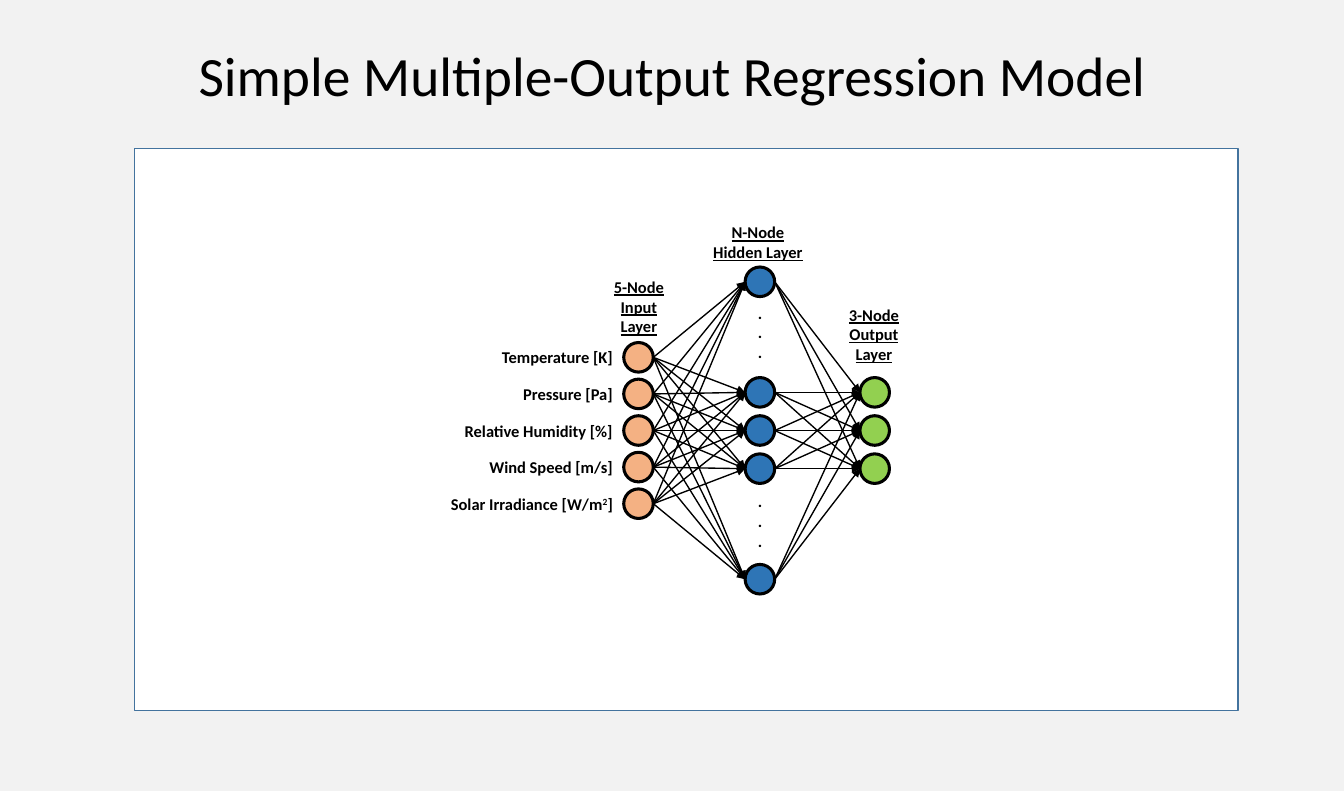
from dataclasses import dataclass
from itertools import product

from lxml.etree import SubElement
from pptx import Presentation
from pptx.dml.color import RGBColor
from pptx.enum.shapes import MSO_CONNECTOR, MSO_SHAPE
from pptx.enum.text import MSO_ANCHOR, PP_ALIGN
from pptx.oxml.ns import qn
from pptx.util import Cm, Pt

HUES = {
    "back": "F2F2F2", "panel": "FFFFFF", "frame": "43739E", "ink": "000000",
    "input": "F4B183", "hidden": "2E75B6", "output": "92D050",
}
SIZE = 0.76  # node diameter
MID = 11.06  # height of the network's axis


@dataclass
class Layer:
    hue: str
    left: float
    rows: list[float]  # node centres
    head: str
    box: tuple[float, float, float, float]


LAYERS = [
    Layer("input", 16.03, [MID + 0.94 * i for i in range(-2, 3)],
          "5-Node Input Layer", (15.19, 6.99, 2.46, 1.8)),
    Layer("hidden", 19.15, [MID + d for d in (-3.82, -0.98, 0, 0.98, 3.82)],
          "N-Node Hidden Layer", (18.03, 5.59, 2.9, 1.27)),
    Layer("output", 22.1, [MID + 0.98 * i for i in range(-1, 2)],
          "3-Node Output Layer", (21.23, 7.7, 2.46, 1.8)),
]
# A part between carets is raised
LABELS = ["Temperature [K]", "Pressure [Pa]", "Relative Humidity [%]",
          "Wind Speed [m/s]", "Solar Irradiance [W/m^2^]"]


def tint(name: str) -> RGBColor:
    return RGBColor.from_string(HUES[name])


def write(slide, text: str, box: tuple, *, size: float = 12, bold: bool = True,
          under: bool = False, align=PP_ALIGN.CENTER, anchor=MSO_ANCHOR.TOP,
          space: float = 1.0) -> None:
    frame = slide.shapes.add_textbox(*map(Cm, box)).text_frame
    frame.word_wrap = True
    frame.vertical_anchor = anchor
    for i, line in enumerate(text.split("\n")):
        para = frame.add_paragraph() if i else frame.paragraphs[0]
        para.alignment = align
        para.line_spacing = space
        for j, part in enumerate(line.split("^")):
            run = para.add_run()
            run.text = part
            font = run.font
            font.name, font.size = "Calibri", Pt(size)
            font.bold, font.underline = bold, under
            font.color.rgb = tint("ink")
            if j % 2:
                font._element.set("baseline", "30000")


def shape(slide, kind, box: tuple, fill: str, line: str, width: float) -> None:
    item = slide.shapes.add_shape(kind, *map(Cm, box))
    item.shadow.inherit = False
    item.fill.solid()
    item.fill.fore_color.rgb = tint(fill)
    item.line.color.rgb = tint(line)
    item.line.width = Pt(width)


def arrow(slide, x1: float, y1: float, x2: float, y2: float) -> None:
    item = slide.shapes.add_connector(
        MSO_CONNECTOR.STRAIGHT, *map(Cm, (x1, y1, x2, y2)))
    item.line.color.rgb = tint("ink")
    item.line.width = Pt(1)
    SubElement(item.line._get_or_add_ln(), qn("a:tailEnd"), type="triangle")
    SubElement(item._element.spPr, qn("a:effectLst"))


def main() -> None:
    deck = Presentation()
    deck.slide_width, deck.slide_height = Cm(34.54), Cm(20.32)
    slide = deck.slides.add_slide(deck.slide_layouts[6])
    slide.background.fill.solid()
    slide.background.fill.fore_color.rgb = tint("back")

    # Title and panel
    write(slide, "Simple Multiple-Output Regression Model",
          (2.39, 1.09, 29.79, 1.88), size=40.4, bold=False,
          anchor=MSO_ANCHOR.MIDDLE, space=0.9)
    shape(slide, MSO_SHAPE.RECTANGLE, (3.45, 3.81, 28.37, 14.45),
          "panel", "frame", 1)

    # Nodes and layer headings
    for layer in LAYERS:
        for y in layer.rows:
            shape(slide, MSO_SHAPE.OVAL,
                  (layer.left, y - SIZE / 2, SIZE, SIZE),
                  layer.hue, "ink", 2.25)
        write(slide, layer.head, layer.box, under=True)

    # Every node feeds every node of the next layer
    for here, there in zip(LAYERS, LAYERS[1:]):
        for y1, y2 in product(here.rows, there.rows):
            arrow(slide, here.left + SIZE, y1, there.left, y2)

    # Input names
    for name, y in zip(LABELS, LAYERS[0].rows):
        write(slide, name, (10.77, y - 0.38, 5.23, 0.76),
              align=PP_ALIGN.RIGHT)

    # Dots for the hidden nodes left out
    for top in (7.65, 12.5):
        write(slide, ".\n.\n.", (19.09, top, 0.89, 1.8))

    deck.save("out.pptx")


if __name__ == "__main__":
    main()
